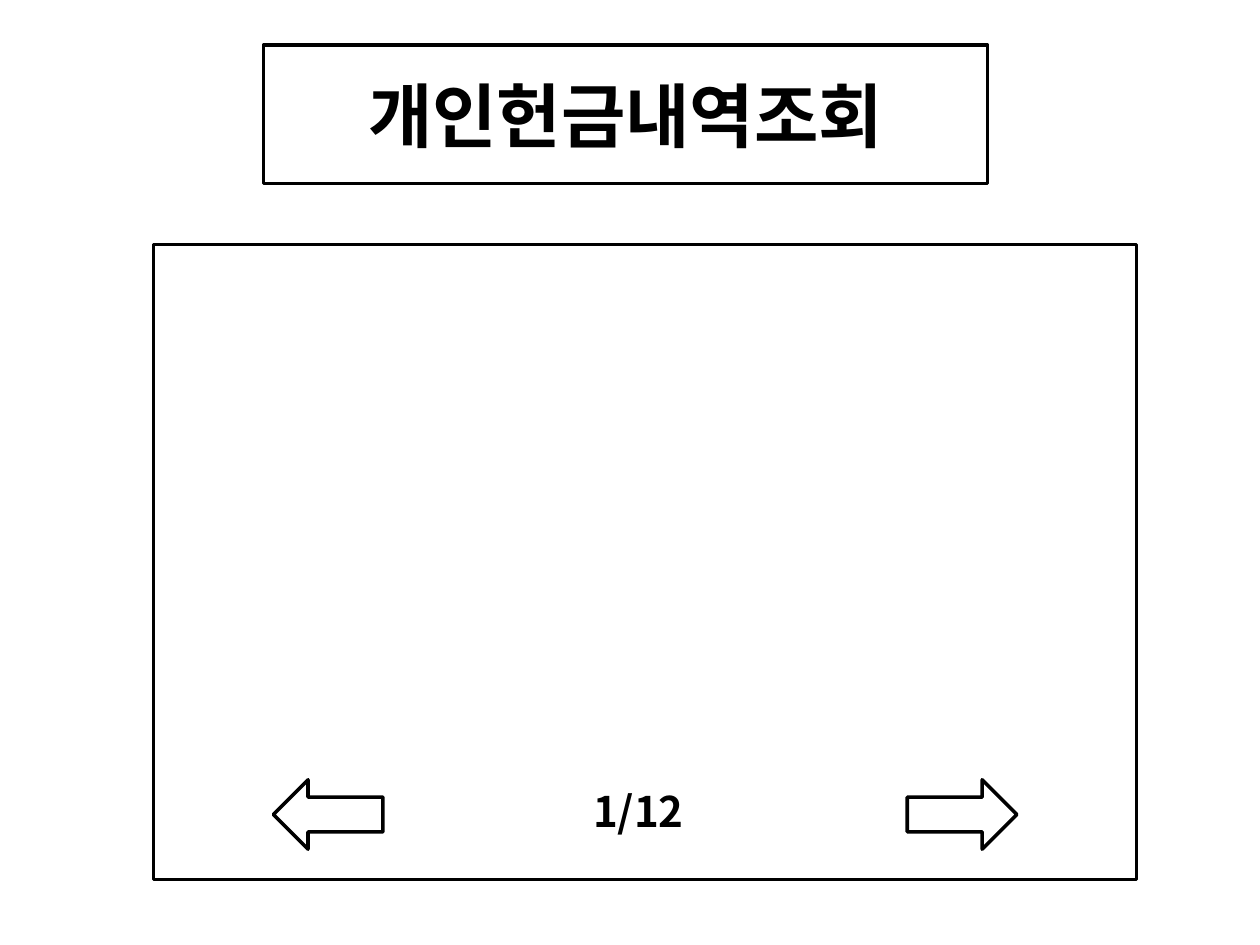
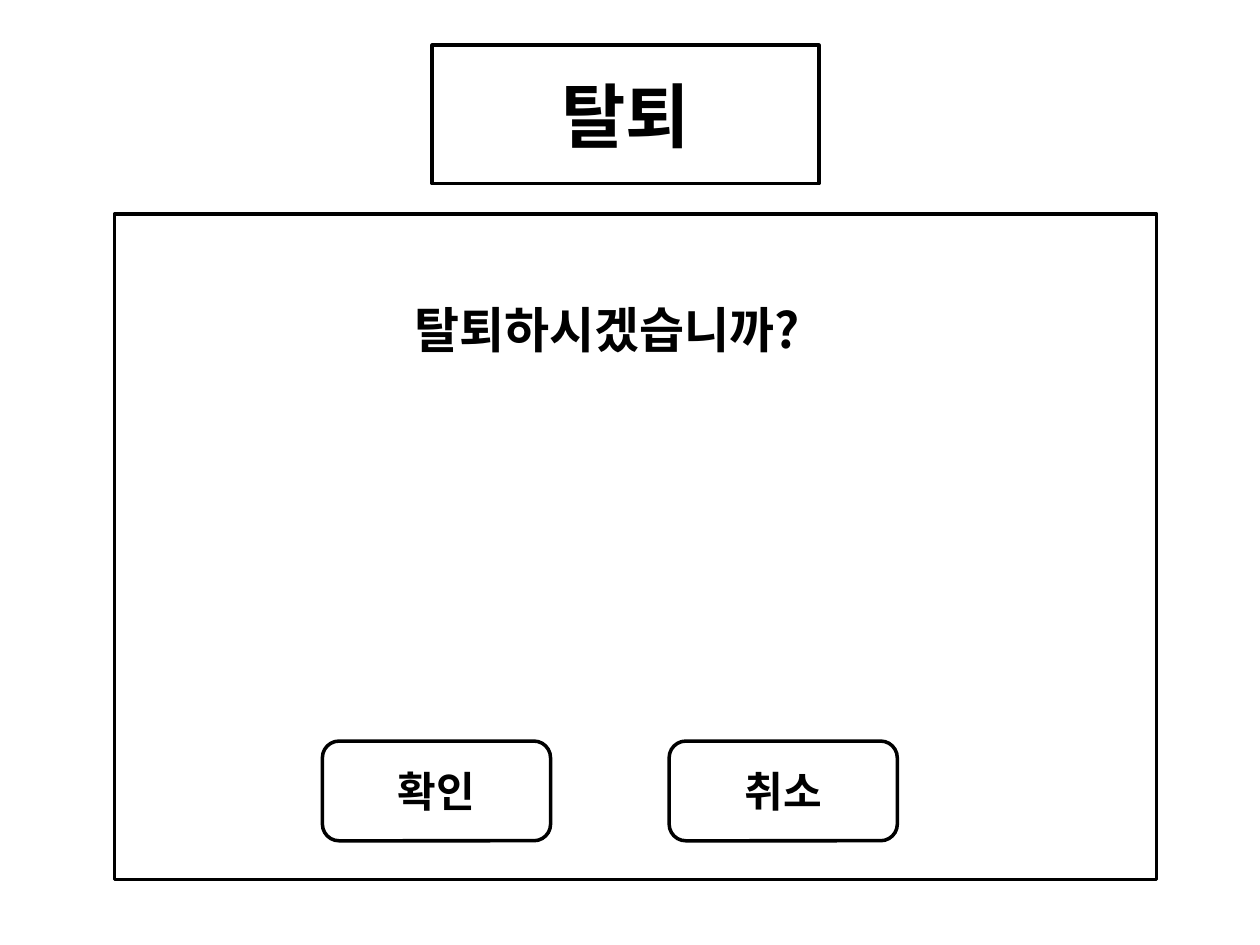
from lxml import etree
from pptx import Presentation
from pptx.dml.color import RGBColor
from pptx.enum.shapes import MSO_SHAPE
from pptx.enum.text import MSO_ANCHOR, MSO_AUTO_SIZE, PP_ALIGN
from pptx.oxml.ns import qn
from pptx.util import Cm, Pt

RECTANGLE = MSO_SHAPE.RECTANGLE
ROUNDED = MSO_SHAPE.ROUNDED_RECTANGLE
LEFT_ARROW = MSO_SHAPE.LEFT_ARROW
RIGHT_ARROW = MSO_SHAPE.RIGHT_ARROW
MIDDLE = MSO_ANCHOR.MIDDLE
NO_FIT = MSO_AUTO_SIZE.NONE
GROW = MSO_AUTO_SIZE.SHAPE_TO_FIT_TEXT
CENTER = PP_ALIGN.CENTER

FONT = "Noto Sans CJK KR"
INK = "000000"
LINE_WIDTH = 2
TITLE_SIZE = 40
BUTTON_SIZE = 24
TITLE_ONLY_LAYOUT = 5

TITLE_CENTER, TITLE_TOP, TITLE_HEIGHT = 12.61, 0.91, 2.79
PANEL_BOTTOM = 17.73
CONTROL_SIZES = {LEFT_ARROW: (2.21, 1.4), RIGHT_ARROW: (2.21, 1.4), ROUNDED: (4.6, 2.01)}

SCREENS = [
    {
        "title": "개인헌금내역조회",
        "title_width": 14.6,
        "panel": (3.1, 4.93, 19.81),
        "controls_top": 15.72,
        "controls": [(LEFT_ARROW, 5.51, ""), (RIGHT_ARROW, 18.29, "")],
        "label": ("1/12", 24, (11.71, 15.72, 2.36, 1.27)),
    },
    {
        "title": "탈퇴",
        "title_width": 7.8,
        "panel": (2.31, 4.32, 21.01),
        "controls_top": 14.94,
        "controls": [(ROUNDED, 6.5, "확인"), (ROUNDED, 13.49, "취소")],
        "label": ("탈퇴하시겠습니까?", 28, (8.1, 5.92, 8.94, 1.45)),
    },
]


def color(hex_string):
    return RGBColor.from_string(hex_string)


def outline(shape):
    shape.fill.background()
    shape.line.color.rgb = color(INK)
    shape.line.width = Pt(LINE_WIDTH)


def write(shape, text, size):
    paragraph = shape.text_frame.paragraphs[0]
    paragraph.text = text
    for run in paragraph.runs:
        run.font.name = FONT
        run.font.size = Pt(size)
        run.font.bold = True
        run.font.color.rgb = color(INK)
        east_asian = etree.SubElement(run.font._element, qn("a:ea"))
        east_asian.set("typeface", FONT)
    return paragraph


def write_centered(shape, text, size):
    shape.text_frame.vertical_anchor = MIDDLE
    write(shape, text, size).alignment = CENTER


def add_outlined_shape(slide, kind, left, top, width, height):
    shape = slide.shapes.add_shape(kind, Cm(left), Cm(top), Cm(width), Cm(height))
    shape.shadow.inherit = False
    outline(shape)
    return shape


def set_title(slide, text, width):
    title = slide.shapes.title
    title.left, title.top = Cm(TITLE_CENTER - width / 2), Cm(TITLE_TOP)
    title.width, title.height = Cm(width), Cm(TITLE_HEIGHT)
    geometry = etree.SubElement(title._element.spPr, qn("a:prstGeom"), prst="roundRect")
    etree.SubElement(geometry, qn("a:avLst"))
    outline(title)
    title.text_frame.auto_size = NO_FIT
    write_centered(title, text, TITLE_SIZE)


def add_label(slide, text, size, box):
    label = slide.shapes.add_textbox(*map(Cm, box))
    label.text_frame.word_wrap = False
    label.text_frame.auto_size = GROW
    write(label, text, size)


def build_screen(presentation, screen):
    slide = presentation.slides.add_slide(presentation.slide_layouts[TITLE_ONLY_LAYOUT])
    set_title(slide, screen["title"], screen["title_width"])
    left, top, width = screen["panel"]
    add_outlined_shape(slide, RECTANGLE, left, top, width, PANEL_BOTTOM - top)
    for kind, left, text in screen["controls"]:
        control = add_outlined_shape(slide, kind, left, screen["controls_top"], *CONTROL_SIZES[kind])
        if text:
            write_centered(control, text, BUTTON_SIZE)
    add_label(slide, *screen["label"])


def main():
    presentation = Presentation()
    presentation.slide_width, presentation.slide_height = Cm(25.4), Cm(19.05)
    for screen in SCREENS:
        build_screen(presentation, screen)
    presentation.save("out.pptx")


if __name__ == "__main__":
    main()
